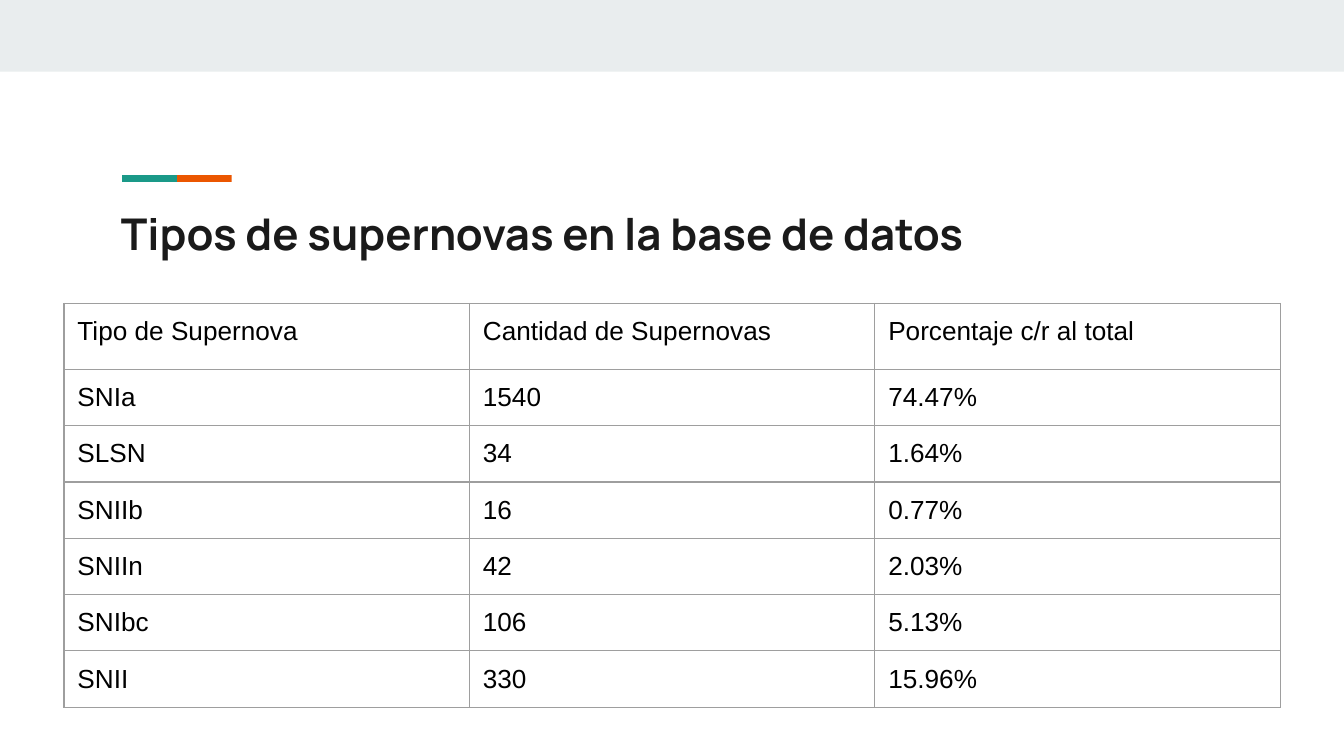
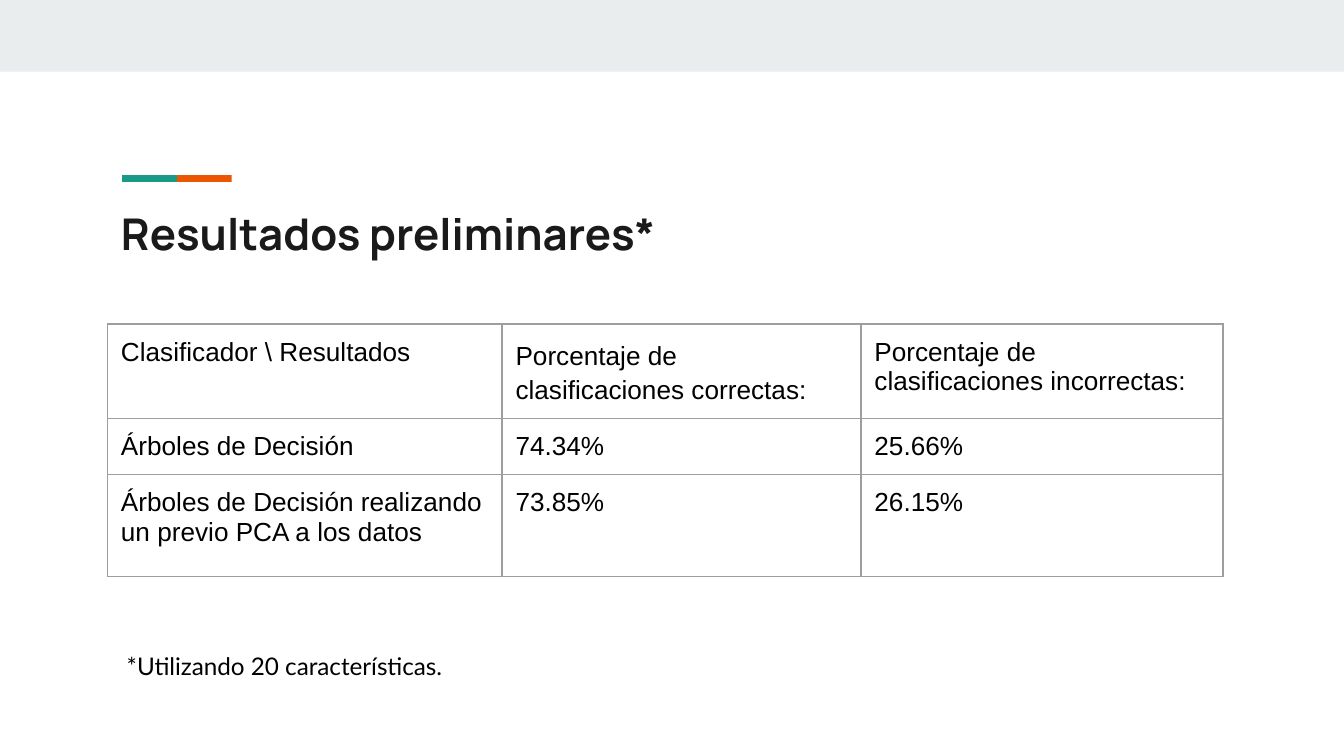
import dataclasses

import lxml.etree
import pptx
import pptx.dml.color
import pptx.enum.shapes
import pptx.enum.text
import pptx.oxml.ns
import pptx.util

Pt = pptx.util.Pt
RGB = pptx.dml.color.RGBColor

BLACK = RGB(0x00, 0x00, 0x00)
INK = RGB(0x1A, 0x1A, 0x1A)
MIST = RGB(0xE9, 0xED, 0xEE)
TEAL = RGB(0x1A, 0x99, 0x88)
ORANGE = RGB(0xEB, 0x56, 0x00)
GRAY = RGB(0x9E, 0x9E, 0x9E)
INSET = Pt(7.2)


@dataclasses.dataclass(frozen=True)
class Bar:
    """A plain filled rectangle, in points and degrees."""
    left: float
    top: float
    width: float
    height: float
    color: RGB
    turn: float = 0


@dataclasses.dataclass(frozen=True)
class Grid:
    """A table with its place, column widths and row heights in points."""
    left: float
    top: float
    cols: list[float]
    rows: list[float]
    cells: list[tuple[str, ...]]


BAND = Bar(0, 0, 720, 38.4, MIST)
ACCENT = [
    Bar(121.2, 57.4, 2, 42, ORANGE, 270),
    Bar(79.4, 57.4, 2, 42, TEAL, 270),
]

TYPES = Grid(34.3, 162.6, [217.2] * 3, [35.3] + [28.8] * 6, [
    ("Tipo de Supernova", "Cantidad de Supernovas", "Porcentaje c/r al total"),
    ("SNIa", "1540", "74.47%"),
    ("SLSN", "34", "1.64%"),
    ("SNIIb", "16", "0.77%"),
    ("SNIIn", "42", "2.03%"),
    ("SNIbc", "106", "5.13%"),
    ("SNII", "330", "15.96%"),
])

RESULTS = Grid(57.6, 173.6, [211.4, 192.3, 194], [50.6, 30.1, 54.6], [
    ("Clasificador \\ Resultados", "Porcentaje de clasificaciones correctas:",
     "Porcentaje de clasificaciones incorrectas:"),
    ("Árboles de Decisión", "74.34%", "25.66%"),
    ("Árboles de Decisión realizando un previo PCA a los datos", "73.85%", "26.15%"),
])


def set_text(frame, text: str, font: str, size: float, color: RGB, bold: bool = False) -> None:
    """Fill a text frame with one formatted, left-aligned paragraph."""
    frame.text = text
    line = frame.paragraphs[0]
    line.alignment = pptx.enum.text.PP_ALIGN.LEFT
    for run in line.runs:
        run.font.name = font
        run.font.size = Pt(size)
        run.font.bold = bold
        run.font.color.rgb = color


def set_inset(item) -> None:
    """Give a cell or text frame equal margins on all sides."""
    item.margin_left = item.margin_right = INSET
    item.margin_top = item.margin_bottom = INSET


def add_bar(shapes, bar: Bar) -> None:
    """Draw one filled rectangle on a slide or in a group."""
    kind = pptx.enum.shapes.MSO_SHAPE.RECTANGLE
    shape = shapes.add_shape(
        kind, Pt(bar.left), Pt(bar.top), Pt(bar.width), Pt(bar.height))
    shape.rotation = bar.turn
    shape.shadow.inherit = False
    shape.fill.solid()
    shape.fill.fore_color.rgb = bar.color
    shape.line.fill.background()


def add_accent(slide) -> None:
    """Draw the two-colour rule above the title as a scaled group."""
    group = slide.shapes.add_group_shape()
    for bar in ACCENT:
        add_bar(group.shapes, bar)
    group.left, group.top = Pt(79.4), Pt(57.4)
    group.width, group.height = Pt(30.7), Pt(76.4)


def add_edges(cell) -> None:
    """Line all four sides of a cell."""
    props = cell._tc.get_or_add_tcPr()
    qn = pptx.oxml.ns.qn
    for side in ("lnL", "lnR", "lnT", "lnB"):
        edge = lxml.etree.SubElement(props, qn(f"a:{side}"), w=str(Pt(0.75)))
        fill = lxml.etree.SubElement(edge, qn("a:solidFill"))
        lxml.etree.SubElement(fill, qn("a:srgbClr"), val=str(GRAY))


def add_grid(slide, grid: Grid):
    """Draw a table and return it."""
    frame = slide.shapes.add_table(
        len(grid.rows), len(grid.cols), Pt(grid.left), Pt(grid.top),
        Pt(sum(grid.cols)), Pt(sum(grid.rows)))
    table = frame.table
    table.first_row = table.horz_banding = False
    for col, width in zip(table.columns, grid.cols):
        col.width = Pt(width)
    for row, height, texts in zip(table.rows, grid.rows, grid.cells):
        row.height = Pt(height)
        for cell, text in zip(row.cells, texts):
            set_text(cell.text_frame, text, "Arial", 14, BLACK)
            set_inset(cell)
            add_edges(cell)
            cell.fill.background()
    return table


def add_slide(deck, title: str):
    """Add a slide with the shared band, accent and title style."""
    slide = deck.slides.add_slide(deck.slide_layouts[5])
    add_bar(slide.shapes, BAND)
    add_accent(slide)
    head = slide.shapes.title
    head.left, head.top, head.width, head.height = Pt(57.6), Pt(103.7), Pt(605.5), Pt(42.5)
    frame = head.text_frame
    set_text(frame, title, "Manrope", 23.4, INK, True)
    set_inset(frame)
    frame.word_wrap = True
    frame.auto_size = pptx.enum.text.MSO_AUTO_SIZE.NONE
    frame.vertical_anchor = pptx.enum.text.MSO_ANCHOR.MIDDLE
    return slide


def add_note(slide, text: str) -> None:
    """Add the remark below the table."""
    box = slide.shapes.add_textbox(Pt(60.8), Pt(341.6), Pt(454.3), Pt(30.2))
    frame = box.text_frame
    frame.word_wrap = True
    frame.auto_size = pptx.enum.text.MSO_AUTO_SIZE.SHAPE_TO_FIT_TEXT
    set_inset(frame)
    set_text(frame, text, "Lato", 13, BLACK)


def main() -> None:
    """Build and save the deck."""
    deck = pptx.Presentation()
    deck.slide_width, deck.slide_height = Pt(720), Pt(405)

    slide = add_slide(deck, "Tipos de supernovas en la base de datos")
    add_grid(slide, TYPES)

    slide = add_slide(deck, "Resultados preliminares*")
    table = add_grid(slide, RESULTS)
    table.cell(0, 1).text_frame.paragraphs[0].line_spacing = 1.15
    add_note(slide, "*Utilizando 20 características.")

    deck.save("out.pptx")


if __name__ == "__main__":
    main()
